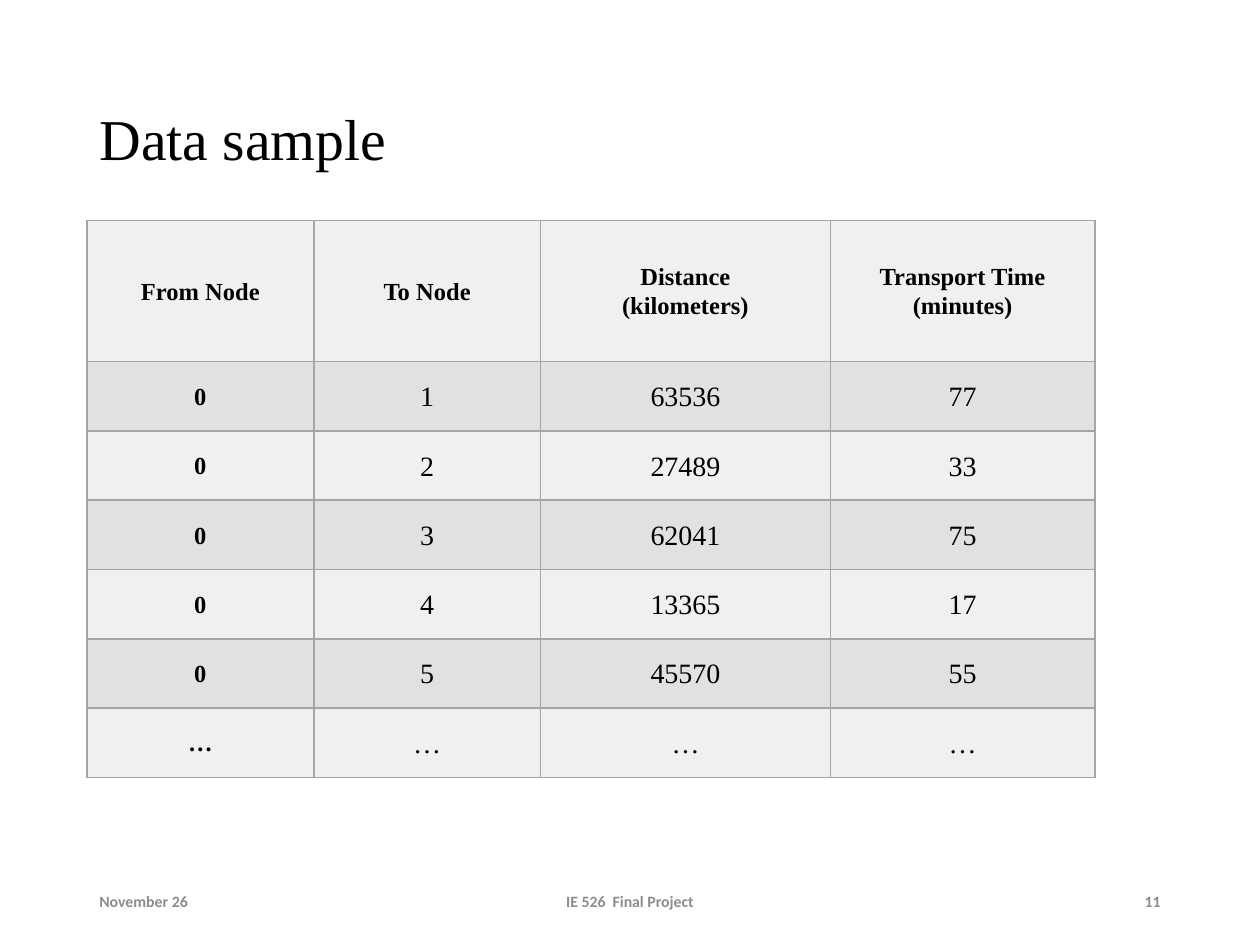
import lxml.etree
import pptx
import pptx.dml.color
import pptx.enum.text
import pptx.oxml
import pptx.oxml.ns
import pptx.util
from pptx.util import Inches

BLACK = pptx.dml.color.RGBColor(0x00, 0x00, 0x00)
FOOTER_GRAY = pptx.dml.color.RGBColor(0x8C, 0x8C, 0x8C)
LIGHT_BAND = pptx.dml.color.RGBColor(0xF0, 0xF0, 0xF0)
DARK_BAND = pptx.dml.color.RGBColor(0xE1, 0xE1, 0xE1)
BORDER_GRAY = pptx.dml.color.RGBColor(0xA5, 0xA5, 0xA5)

ALIGN = pptx.enum.text.PP_ALIGN
MIDDLE = pptx.enum.text.MSO_ANCHOR.MIDDLE


def write_text(frame, text, paragraph_format, font_format, color):
    """Fill a text frame, one paragraph per line of text."""
    frame.word_wrap = True
    frame.text = text
    for paragraph in frame.paragraphs:
        for name, value in paragraph_format.items():
            setattr(paragraph, name, value)
        for run in paragraph.runs:
            for name, value in font_format.items():
                setattr(run.font, name, value)
            run.font.color.rgb = color


def add_borders(cell):
    properties = cell._tc.get_or_add_tcPr()
    for position, side in enumerate(("lnL", "lnR", "lnT", "lnB")):
        border = pptx.oxml.parse_xml(
            f'<a:{side} {pptx.oxml.ns.nsdecls("a")} w="{pptx.util.Pt(1)}">'
            f'<a:solidFill><a:srgbClr val="{BORDER_GRAY}"/></a:solidFill></a:{side}>'
        )
        properties.insert(position, border)


presentation = pptx.Presentation()
presentation.slide_width = Inches(10)
presentation.slide_height = Inches(7.5)
slide = presentation.slides.add_slide(presentation.slide_layouts[6])

# Title and footer
title_font = {"name": "Times New Roman", "size": pptx.util.Pt(33), "bold": False}
footer_font = {"name": "Calibri", "size": pptx.util.Pt(9), "bold": True}
captions = [
    ("Data sample", (0.69, 0.4, 8.62, 1.45),
     {"alignment": ALIGN.LEFT, "line_spacing": 0.9}, title_font, BLACK),
    ("November 26", (0.69, 6.95, 2.25, 0.4),
     {"alignment": ALIGN.LEFT}, footer_font, FOOTER_GRAY),
    ("IE 526  Final Project", (3.31, 6.95, 3.38, 0.4),
     {"alignment": ALIGN.CENTER}, footer_font, FOOTER_GRAY),
    ("11", (7.06, 6.95, 2.25, 0.4),
     {"alignment": ALIGN.RIGHT}, footer_font, FOOTER_GRAY),
]
for text, place, paragraph_format, font_format, color in captions:
    caption = slide.shapes.add_textbox(*map(Inches, place))
    caption.text_frame.vertical_anchor = MIDDLE
    write_text(caption.text_frame, text, paragraph_format, font_format, color)

# Table of travel distances and times
trips = [
    ("From Node", "To Node", "Distance\n(kilometers)", "Transport Time\n(minutes)"),
    ("0", "1", "63536", "77"),
    ("0", "2", "27489", "33"),
    ("0", "3", "62041", "75"),
    ("0", "4", "13365", "17"),
    ("0", "5", "45570", "55"),
    ("…", "…", "…", "…"),
]
column_widths = [1.8, 1.8, 2.3, 2.1]
row_heights = [1.12] + [0.55] * (len(trips) - 1)
trip_table = slide.shapes.add_table(
    len(trips), len(column_widths), Inches(0.69), Inches(1.75),
    Inches(sum(column_widths)), Inches(sum(row_heights)),
).table
for column, width in zip(trip_table.columns, column_widths):
    column.width = Inches(width)
for row, height in zip(trip_table.rows, row_heights):
    row.height = Inches(height)

cell_format = {
    "vertical_anchor": MIDDLE,
    "margin_left": Inches(0.07),
    "margin_right": Inches(0.07),
    "margin_top": 0,
    "margin_bottom": 0,
}
cell_paragraph = {"alignment": ALIGN.CENTER, "line_spacing": 1.07}
for row_index, trip in enumerate(trips):
    for column_index, value in enumerate(trip):
        cell = trip_table.cell(row_index, column_index)
        for name, setting in cell_format.items():
            setattr(cell, name, setting)
        cell.fill.solid()
        cell.fill.fore_color.rgb = DARK_BAND if row_index % 2 else LIGHT_BAND
        add_borders(cell)
        is_heading = row_index == 0 or column_index == 0
        cell_font = {
            "name": "Times New Roman",
            "size": pptx.util.Pt(14 if is_heading else 16),
            "bold": is_heading,
        }
        write_text(cell.text_frame, value, cell_paragraph, cell_font, BLACK)

presentation.save("out.pptx")
